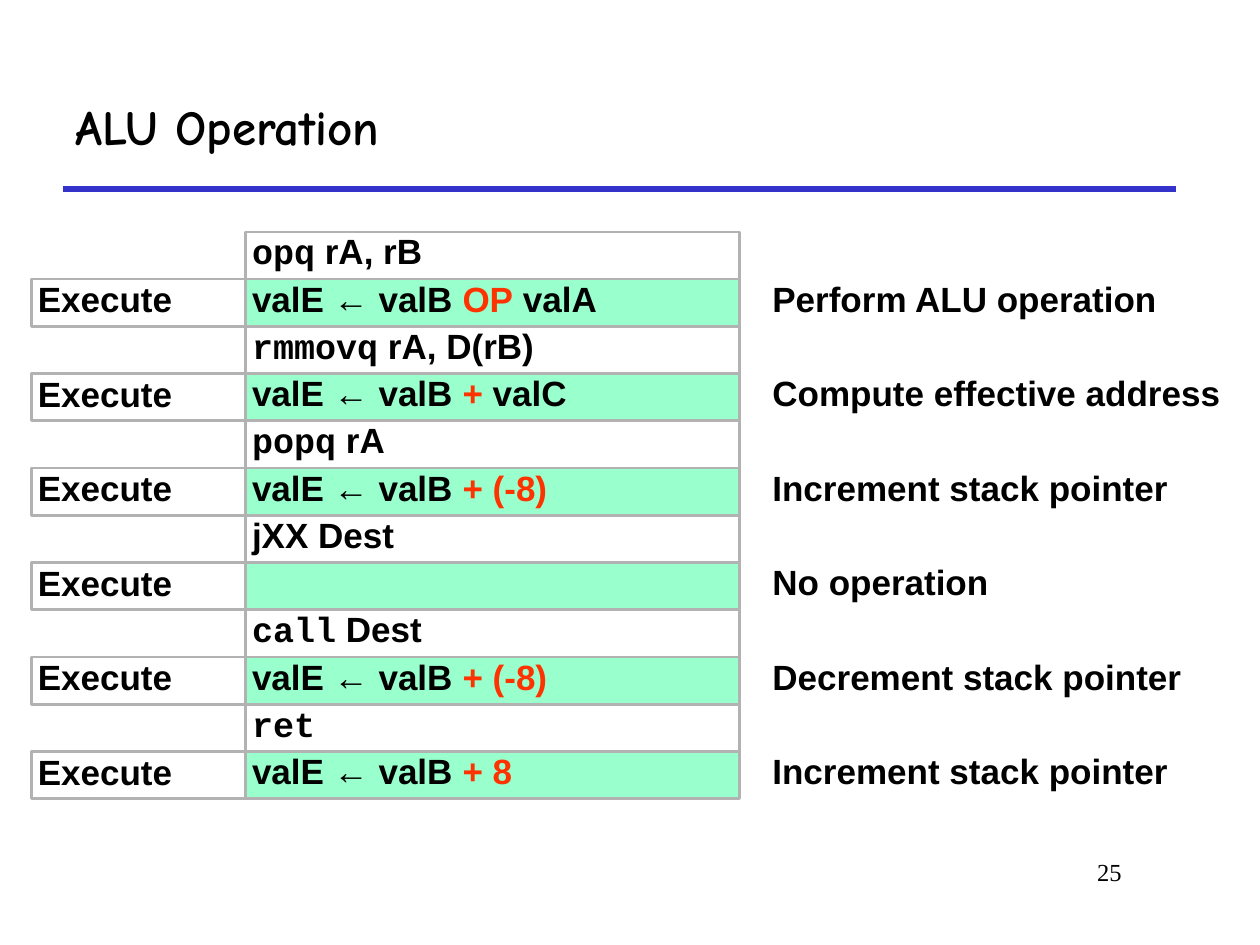
"""Build the ALU Operation slide listing the execute stage of six instructions."""
from typing import NamedTuple

from lxml import etree
from pptx import Presentation
from pptx.dml.color import RGBColor
from pptx.enum.shapes import MSO_CONNECTOR, MSO_SHAPE
from pptx.enum.text import MSO_ANCHOR, PP_ALIGN
from pptx.oxml.ns import qn
from pptx.util import Inches, Length, Pt

STRAIGHT = MSO_CONNECTOR.STRAIGHT
RECTANGLE = MSO_SHAPE.RECTANGLE
TOP, MIDDLE = MSO_ANCHOR.TOP, MSO_ANCHOR.MIDDLE
LEFT, RIGHT = PP_ALIGN.LEFT, PP_ALIGN.RIGHT

BLACK = RGBColor(0x00, 0x00, 0x00)
RED = RGBColor(0xFF, 0x33, 0x00)
MINT = RGBColor(0x99, 0xFF, 0xCC)
GRAY = RGBColor(0xB2, 0xB2, 0xB2)
BLUE = RGBColor(0x33, 0x33, 0xCC)

SANS, MONO, SERIF, COMIC = "Arial", "Courier New", "Times New Roman", "Comic Neue"

ROW_HEIGHT = Inches(0.375)
FIRST_TOP = Inches(1.84)
STAGE_LEFT, STAGE_WIDTH = Inches(0.25), Inches(1.7)
STEP_LEFT, NOTE_LEFT, STEP_WIDTH = Inches(1.95), Inches(6.08), Inches(3.92)
CELL_INSET = Inches(0.05)


class Span(NamedTuple):
    text: str
    font: str = SANS
    color: RGBColor = BLACK
    size: int = 20
    bold: bool = True


class Box(NamedTuple):
    left: Length
    top: Length
    width: Length
    height: Length


class Instruction(NamedTuple):
    syntax: list[Span]
    computation: list[Span]
    note: str


OPERANDS = Span("valE ← valB ")
INSTRUCTIONS = [
    Instruction([Span("opq", MONO), Span(" rA, rB")],
                [OPERANDS, Span("OP", color=RED), Span(" valA")],
                "Perform ALU operation"),
    Instruction([Span("rmmovq", MONO), Span(" rA, D(rB)")],
                [OPERANDS, Span("+", color=RED), Span(" valC")],
                "Compute effective address"),
    Instruction([Span("popq", MONO), Span(" rA")],
                [OPERANDS, Span("+ (-8)", color=RED)],
                "Increment stack pointer"),
    Instruction([Span("jXX Dest")], [], "No operation"),
    Instruction([Span("call", MONO), Span(" Dest")],
                [OPERANDS, Span("+ (-8)", color=RED)],
                "Decrement stack pointer"),
    Instruction([Span("ret", MONO)],
                [OPERANDS, Span("+ 8", color=RED)],
                "Increment stack pointer"),
]


def write(shape, spans: list[Span], anchor=TOP, align=LEFT,
          inset: Length | None = None, spacing: float = 1.0) -> None:
    frame = shape.text_frame
    frame.word_wrap = True
    frame.vertical_anchor = anchor
    if inset is not None:
        frame.margin_left = frame.margin_right = inset
        frame.margin_top = frame.margin_bottom = inset
    paragraph = frame.paragraphs[0]
    paragraph.alignment = align
    paragraph.line_spacing = spacing
    for span in spans:
        run = paragraph.add_run()
        run.text = span.text
        run.font.name = span.font
        run.font.size = Pt(span.size)
        run.font.bold = span.bold
        run.font.color.rgb = span.color


def add_cell(slide, box: Box, spans: list[Span], fill: RGBColor | None = None,
             anchor=TOP) -> None:
    cell = slide.shapes.add_shape(RECTANGLE, *box)
    cell.shadow.inherit = False
    if fill is None:
        cell.fill.background()
    else:
        cell.fill.solid()
        cell.fill.fore_color.rgb = fill
    cell.line.color.rgb = GRAY
    cell.line.width = Pt(1.5)
    write(cell, spans, anchor, inset=CELL_INSET, spacing=0.8)


def add_instruction(slide, instruction: Instruction, top: Length) -> None:
    execute_top = top + ROW_HEIGHT
    add_cell(slide, Box(STEP_LEFT, top, STEP_WIDTH, ROW_HEIGHT), instruction.syntax)
    add_cell(slide, Box(STAGE_LEFT, execute_top, STAGE_WIDTH, ROW_HEIGHT),
             [Span("Execute")], anchor=MIDDLE)
    add_cell(slide, Box(STEP_LEFT, execute_top, STEP_WIDTH, ROW_HEIGHT),
             instruction.computation, MINT)
    note = slide.shapes.add_textbox(NOTE_LEFT, execute_top, STEP_WIDTH, ROW_HEIGHT)
    write(note, [Span(instruction.note)], inset=CELL_INSET, spacing=0.8)


def add_title_rule(slide) -> None:
    rule = slide.shapes.add_connector(
        STRAIGHT, Inches(0.5), Inches(1.5), Inches(9.33), Inches(1.5))
    rule.line.color.rgb = BLUE
    rule.line.width = Pt(3)
    etree.SubElement(rule._element.spPr, qn("a:effectLst"))


def main() -> None:
    presentation = Presentation()
    presentation.slide_width = Inches(10)
    presentation.slide_height = Inches(7.5)
    slide = presentation.slides.add_slide(presentation.slide_layouts[6])

    add_title_rule(slide)
    title = slide.shapes.add_textbox(Inches(0.5), Inches(0.5), Inches(8.83), Inches(1))
    write(title, [Span("ALU Operation", COMIC, size=28)], MIDDLE)
    for index, instruction in enumerate(INSTRUCTIONS):
        add_instruction(slide, instruction, FIRST_TOP + 2 * index * ROW_HEIGHT)
    page_number = slide.shapes.add_textbox(
        Inches(7.58), Inches(6.75), Inches(1.42), Inches(0.5))
    write(page_number, [Span("25", SERIF, size=14, bold=False)], align=RIGHT)

    presentation.save("out.pptx")


if __name__ == "__main__":
    main()
